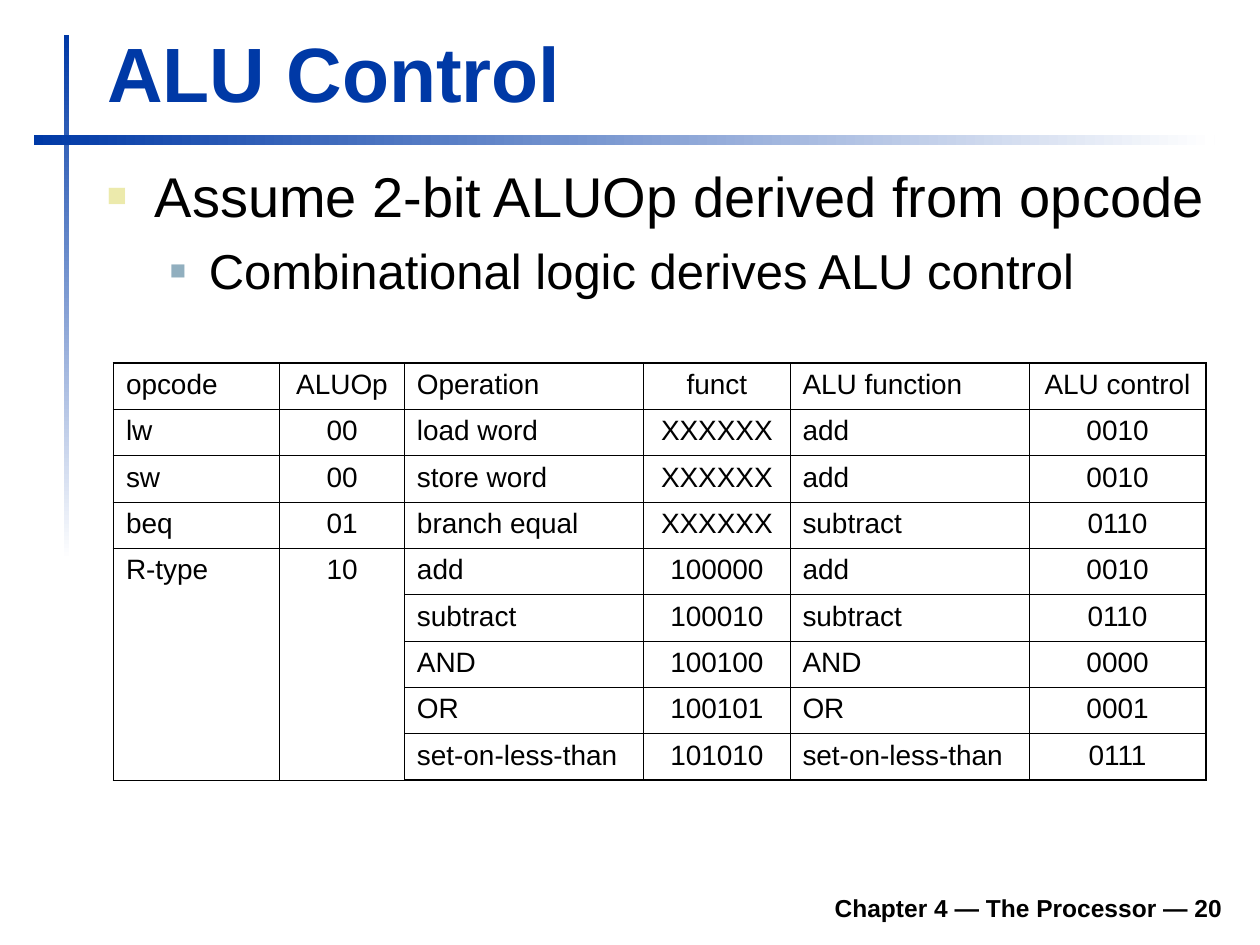
from lxml.etree import SubElement
from pptx import Presentation
from pptx.dml.color import RGBColor
from pptx.enum.shapes import MSO_SHAPE
from pptx.enum.text import MSO_ANCHOR, PP_ALIGN
from pptx.oxml.ns import qn
from pptx.util import Inches, Pt

COLORS = {
    "blue": "0039A6",
    "white": "FFFFFF",
    "black": "000000",
    "cream": "ECEAAC",
    "steel": "91AFBF",
}
FONT = "Arial"


def write(paragraph, text, size, color="black", bold=False, align=PP_ALIGN.LEFT,
          before=0, bullet=None):
    """Fill a paragraph; bullet is (colour, percent of text size, indent, hanging)."""
    if bullet:
        bullet_color, percent, indent, hanging = bullet
        properties = paragraph._p.get_or_add_pPr()
        properties.set("marL", str(Inches(indent)))
        properties.set("indent", str(-Inches(hanging)))
        color_element = SubElement(properties, qn("a:buClr"))
        SubElement(color_element, qn("a:srgbClr"), val=COLORS[bullet_color])
        SubElement(properties, qn("a:buSzPct"), val=str(percent * 1000))
        SubElement(properties, qn("a:buFont"), typeface=FONT)
        SubElement(properties, qn("a:buChar"), char="■")
    paragraph.alignment = align
    paragraph.space_before = Pt(before)
    run = paragraph.add_run()
    run.text = text
    run.font.name = FONT
    run.font.size = Pt(size)
    run.font.bold = bold
    run.font.color.rgb = RGBColor.from_string(COLORS[color])


def set_borders(cell, **widths):
    properties = cell._tc.get_or_add_tcPr()
    for position, side in enumerate(("lnL", "lnR", "lnT", "lnB")):
        line = properties.makeelement(qn("a:" + side), {"w": str(Pt(widths[side]))})
        fill = SubElement(line, qn("a:solidFill"))
        SubElement(fill, qn("a:srgbClr"), val=COLORS["black"])
        properties.insert(position, line)


presentation = Presentation()
presentation.slide_width = Inches(10)
presentation.slide_height = Inches(7.5)
slide = presentation.slides.add_slide(presentation.slide_layouts[5])

# Fading rules; gradient angles run counter-clockwise
for left, top, width, height, angle in (
    (0.51, 0.28, 0.04, 4.17, 270),
    (0.27, 1.07, 9.37, 0.08, 0),
):
    rule = slide.shapes.add_shape(
        MSO_SHAPE.RECTANGLE, Inches(left), Inches(top), Inches(width), Inches(height))
    rule.shadow.inherit = False
    rule.line.fill.background()
    rule.fill.gradient()
    rule.fill.gradient_angle = angle
    for stop, color in zip(rule.fill.gradient_stops, ("blue", "white")):
        stop.color.rgb = RGBColor.from_string(COLORS[color])

# Title
title = slide.shapes.title
title.left, title.top = Inches(0.75), Inches(0.16)
title.width, title.height = Inches(9.03), Inches(0.83)
title.text_frame.vertical_anchor = MSO_ANCHOR.BOTTOM
write(title.text_frame.paragraphs[0], "ALU Control", 44, color="blue", bold=True)

# Bullets
body = slide.shapes.add_textbox(Inches(0.75), Inches(1.23), Inches(9.04), Inches(5.59))
body.text_frame.word_wrap = True
write(body.text_frame.paragraphs[0], "Assume 2-bit ALUOp derived from opcode", 32,
      bullet=("cream", 60, 0.38, 0.38))
detail = body.text_frame.add_paragraph()
detail.level = 1
write(detail, "Combinational logic derives ALU control", 28, before=7,
      bullet=("steel", 55, 0.81, 0.31))

# Footer
footer = slide.shapes.add_textbox(Inches(1.85), Inches(6.98), Inches(7.95), Inches(0.39))
footer.text_frame.word_wrap = True
footer.text_frame.vertical_anchor = MSO_ANCHOR.BOTTOM
write(footer.text_frame.paragraphs[0], "Chapter 4 — The Processor — 20", 14,
      bold=True, align=PP_ALIGN.RIGHT)

# ALU control table
ROWS = (
    ("opcode", "ALUOp", "Operation", "funct", "ALU function", "ALU control"),
    ("lw", "00", "load word", "XXXXXX", "add", "0010"),
    ("sw", "00", "store word", "XXXXXX", "add", "0010"),
    ("beq", "01", "branch equal", "XXXXXX", "subtract", "0110"),
    ("R-type", "10", "add", "100000", "add", "0010"),
    ("", "", "subtract", "100010", "subtract", "0110"),
    ("", "", "AND", "100100", "AND", "0000"),
    ("", "", "OR", "100101", "OR", "0001"),
    ("", "", "set-on-less-than", "101010", "set-on-less-than", "0111"),
)
COLUMN_WIDTHS = (1.32, 0.99, 1.9, 1.16, 1.9, 1.4)
OUTER, HEADER, INNER = 1.08, 0.75, 0.45
last_row, last_column = len(ROWS) - 1, len(COLUMN_WIDTHS) - 1

table = slide.shapes.add_table(
    len(ROWS), len(COLUMN_WIDTHS), Inches(0.9), Inches(2.88),
    Inches(sum(COLUMN_WIDTHS)), Inches(3.31)).table
table.first_row = table.horz_banding = False
for column, width in zip(table.columns, COLUMN_WIDTHS):
    column.width = Inches(width)

for row_index, row in enumerate(ROWS):
    for column_index, text in enumerate(row):
        cell = table.cell(row_index, column_index)
        cell.fill.background()
        set_borders(
            cell,
            lnL=OUTER if column_index == 0 else INNER,
            lnR=OUTER if column_index == last_column else INNER,
            lnT={0: OUTER, 1: HEADER}.get(row_index, INNER),
            lnB={0: HEADER, last_row: OUTER}.get(row_index, INNER),
        )
        if text:
            write(cell.text_frame.paragraphs[0], text, 16,
                  align=PP_ALIGN.CENTER if column_index % 2 else PP_ALIGN.LEFT)

for column_index in (0, 1):
    table.cell(4, column_index).merge(table.cell(last_row, column_index))

presentation.save("out.pptx")
